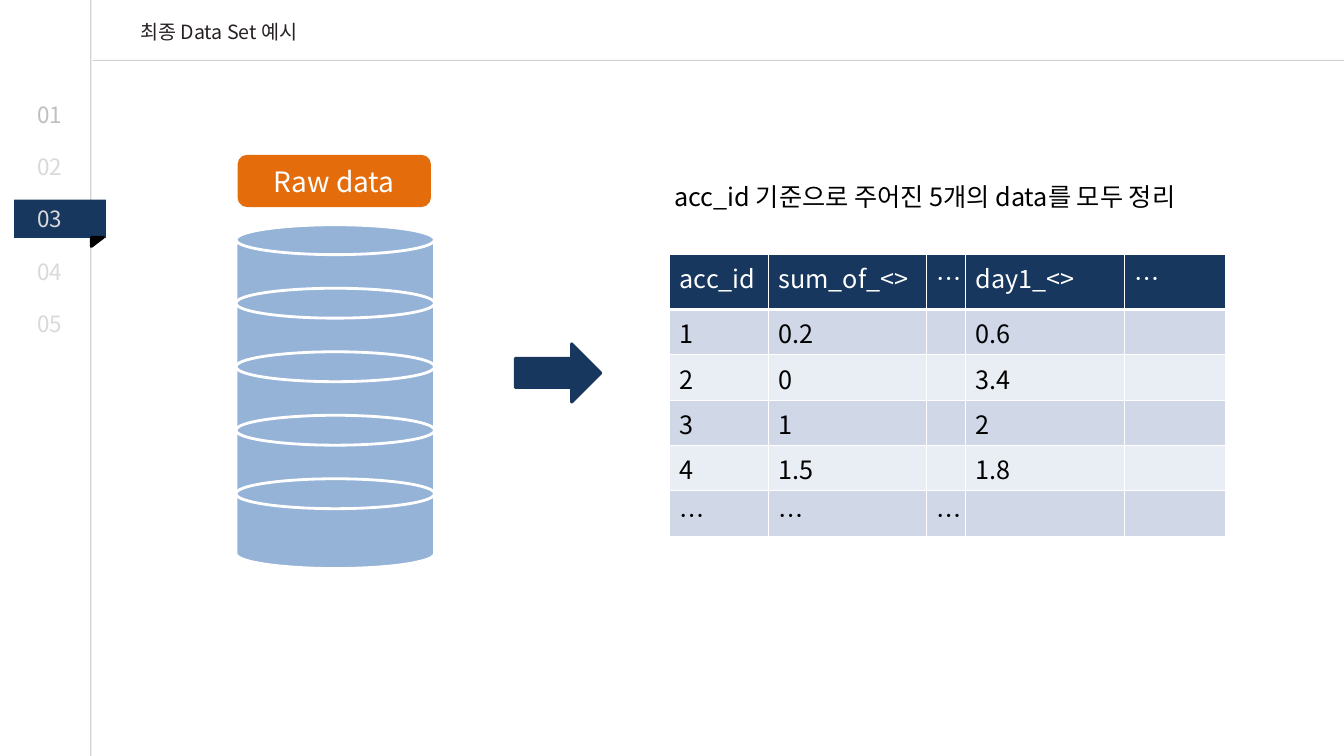
import dataclasses
import lxml.etree
import pptx
import pptx.dml.color
import pptx.enum.shapes
import pptx.enum.text
import pptx.oxml.ns
import pptx.util

COLUMNS, ROWS = 1333, 750
FONT = "Noto Sans CJK KR"
NAVY, ORANGE, BLUE = "17375E", "E46C0A", "95B3D7"
WHITE, BLACK, GREY = "FFFFFF", "000000", "A6A6A6"
BANDS = ("D0D8E8", "E9EDF4")
SHAPES = pptx.enum.shapes.MSO_SHAPE

DATA = [
    ["acc_id", "sum_of_<>", "…", "day1_<>", "…"],
    ["1", "0.2", "", "0.6", ""],
    ["2", "0", "", "3.4", ""],
    ["3", "1", "", "2", ""],
    ["4", "1.5", "", "1.8", ""],
    ["…", "…", "…", "", ""],
]


@dataclasses.dataclass
class Box:
    left: float
    top: float
    width: float
    height: float

    def inner(self, left, top, width, height):
        return Box(self.left + left, self.top + top, width, height)

    def lengths(self):
        return [grid(value) for value in (self.left, self.top, self.width, self.height)]


def grid(units):
    return pptx.util.Inches(units / 100)


def paint(target, color):
    if hasattr(target, "solid"):
        target.solid()
        target.fore_color.rgb = pptx.dml.color.RGBColor.from_string(color)
    else:
        target.rgb = pptx.dml.color.RGBColor.from_string(color)


def add_child(parent, tag, **attributes):
    return lxml.etree.SubElement(parent, pptx.oxml.ns.qn(tag), attributes)


def add_color(parent, color, opacity=100):
    value = add_child(add_child(parent, "a:solidFill"), "a:srgbClr", val=color)
    if opacity < 100:
        add_child(value, "a:alpha", val=str(opacity * 1000))


def write(para, text, size, color, outlined=False):
    span = para.add_run()
    span.text = text
    span.font.size = pptx.util.Pt(size)
    properties = span.font._element
    if outlined:
        outline = add_child(properties, "a:ln", w=str(pptx.util.Pt(0.75)))
        add_color(outline, BLACK, 30)
    paint(span.font.fill, color)
    span.font.name = FONT
    add_child(properties, "a:ea", typeface=FONT)


def add_label(page, box, text, size, color, outlined=False):
    frame = page.shapes.add_textbox(*box.lengths()).text_frame
    frame.word_wrap = True
    frame.auto_size = pptx.enum.text.MSO_AUTO_SIZE.SHAPE_TO_FIT_TEXT
    write(frame.paragraphs[0], text, size, color, outlined)


def add_figure(page, kind, box, fill, line=None):
    figure = page.shapes.add_shape(kind, *box.lengths())
    figure.shadow.inherit = False
    paint(figure.fill, fill)
    if line:
        paint(figure.line.fill, line)
        figure.line.width = pptx.util.Pt(2)
    else:
        figure.line.fill.background()
    return figure


def add_rule(page, *ends):
    rule = page.shapes.add_connector(
        pptx.enum.shapes.MSO_CONNECTOR.STRAIGHT, *[grid(end) for end in ends])
    rule.line.width = pptx.util.Pt(0.75)
    paint(rule.line.fill, GREY)
    color = rule._element.spPr.find(".//" + pptx.oxml.ns.qn("a:srgbClr"))
    add_child(color, "a:alpha", val="50000")
    add_child(rule._element.spPr, "a:effectLst")


def add_header(page, box):
    add_rule(page, box.left, box.height, box.left + box.width, box.height)
    add_label(page, box.inner(37, 15, 262, 34), "최종 Data Set 예시", 14, "272123", True)


def add_navigation(page, box, current, count=5, step=52):
    add_rule(page, box.width, box.top, box.width, box.top + box.height)
    first = 95
    marker = first + step * (current - 1) - 1
    add_figure(page, SHAPES.RECTANGLE, box.inner(14, marker, 91, 38), NAVY)
    fold = add_figure(page, SHAPES.RIGHT_TRIANGLE,
                      box.inner(92, marker + 36, 9, 12), BLACK, BLACK)
    fold.rotation = 90
    for index in range(count):
        color = "D9D9D9" if index else "BFBFBF"
        add_label(page, box.inner(27, first + step * index, 52, 37),
                  f"{index + 1:02}", 16, color, True)


def add_raw_data(page, box, count=5, step=63):
    for index in range(count):
        add_figure(page, SHAPES.FLOWCHART_MAGNETIC_DISK,
                   box.inner(0, 68 + step * index, box.width, 89), BLUE, WHITE)
    badge = add_figure(page, SHAPES.ROUNDED_RECTANGLE,
                       box.inner(3, 0, 189, 49), ORANGE, ORANGE)
    frame = badge.text_frame
    frame.vertical_anchor = pptx.enum.text.MSO_ANCHOR.MIDDLE
    frame.paragraphs[0].alignment = pptx.enum.text.PP_ALIGN.CENTER
    write(frame.paragraphs[0], "Raw data", 20, WHITE)


def add_borders(cell, bottom):
    properties = cell._tc.get_or_add_tcPr()
    widths = {"a:lnL": 1, "a:lnR": 1, "a:lnT": 1, "a:lnB": bottom}
    for position, (tag, width) in enumerate(widths.items()):
        border = add_child(properties, tag, w=str(pptx.util.Pt(width)))
        add_color(border, WHITE)
        properties.insert(position, border)


def add_data_set(page, box):
    add_label(page, box.inner(-5, 0, 653, 40),
              "acc_id 기준으로 주어진 5개의 data를 모두 정리", 18, BLACK)
    place = box.inner(0, 77, box.width, box.height - 77)
    table = page.shapes.add_table(len(DATA), len(DATA[0]), *place.lengths()).table
    table.horz_banding = False
    for column, width in zip(table.columns, (98, 157, 39, 157, 101)):
        column.width = grid(width)
    for number, (row, values) in enumerate(zip(table.rows, DATA)):
        heading = number == 0
        row.height = grid(55 if heading else 45)
        for cell, value in zip(row.cells, values):
            paint(cell.fill, NAVY if heading else BANDS[(number - 1) % 2])
            add_borders(cell, 3 if heading else 1)
            if value:
                write(cell.text_frame.paragraphs[0], value, 18,
                      WHITE if heading else BLACK)


def main():
    deck = pptx.Presentation()
    deck.slide_width, deck.slide_height = grid(COLUMNS), grid(ROWS)
    page = deck.slides.add_slide(deck.slide_layouts[6])
    add_navigation(page, Box(0, 0, 90, ROWS), current=3)
    add_header(page, Box(92, 0, COLUMNS - 92, 60))
    add_raw_data(page, Box(234, 155, 197, 409))
    add_figure(page, SHAPES.RIGHT_ARROW, Box(511, 341, 85, 58), NAVY, NAVY)
    add_data_set(page, Box(664, 175, 554, 358))
    deck.save("out.pptx")


if __name__ == "__main__":
    main()
